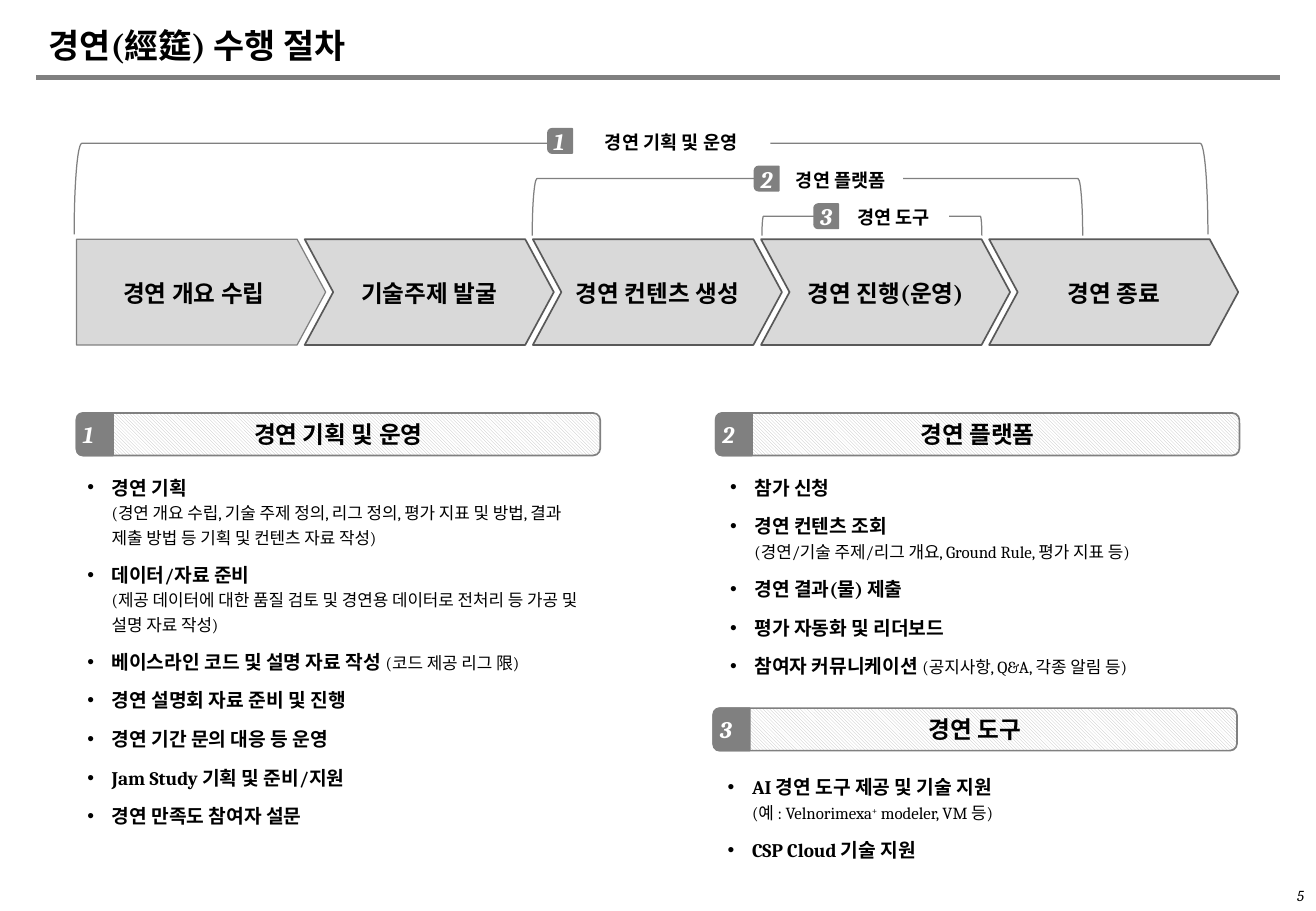
from lxml.etree import SubElement
from pptx import Presentation
from pptx.dml.color import RGBColor
from pptx.enum.dml import MSO_PATTERN
from pptx.enum.shapes import MSO_CONNECTOR, MSO_SHAPE as SHAPE
from pptx.enum.text import MSO_ANCHOR as ANCHOR, PP_ALIGN as ALIGN
from pptx.oxml.ns import qn
from pptx.util import Emu, Pt

BLACK = RGBColor(0x00, 0x00, 0x00)
WHITE = RGBColor(0xFF, 0xFF, 0xFF)
GRAY = RGBColor(0x80, 0x80, 0x80)
DARK = RGBColor(0x59, 0x59, 0x59)
HATCH = RGBColor(0xBF, 0xBF, 0xBF)
PALE = RGBColor(0xD9, 0xD9, 0xD9)
FONT = "Cambria"
HEAD_SIZE, DETAIL_SIZE = 11.4, 10

STEPS = ["경연 개요 수립", "기술주제 발굴", "경연 컨텐츠 생성", "경연 진행(운영)", "경연 종료"]

SCOPES = [
    ("1", "경연 기획 및 운영", (61, 118, 933, 75), (471, 103, 163, 29)),
    ("2", "경연 플랫폼", (438, 147, 453, 47), (641, 134, 102, 29)),
    ("3", "경연 도구", (627, 178, 181, 16), (690, 165, 91, 29)),
]

SECTIONS = [
    ("1", "경연 기획 및 운영", (63, 340), (62, 383, 431, 308), [
        ("경연 기획 \n", "(경연 개요 수립, 기술 주제 정의, 리그 정의, 평가 지표 및 방법, "
         "결과 제출 방법 등 기획 및 컨텐츠 자료 작성)"),
        ("데이터/자료 준비 \n", "(제공 데이터에 대한 품질 검토 및 경연용 데이터로 전처리 등 가공 및 설명 자료 작성)"),
        ("베이스라인 코드 및 설명 자료 작성 ", "(코드 제공 리그 限)"),
        ("경연 설명회 자료 준비 및 진행",),
        ("경연 기간 문의 대응 등 운영",),
        ("Jam Study 기획 및 준비/지원",),
        ("경연 만족도 참여자 설문",),
    ]),
    ("2", "경연 플랫폼", (589, 340), (591, 383, 431, 185), [
        ("참가 신청",),
        ("경연 컨텐츠 조회\n", "(경연/기술 주제/리그 개요, Ground Rule, 평가 지표 등)"),
        ("경연 결과(물) 제출",),
        ("평가 자동화 및 리더보드",),
        ("참여자 커뮤니케이션 ", "(공지사항, Q&A, 각종 알림 등)"),
    ]),
    ("3", "경연 도구", (587, 583), (589, 630, 431, 86), [
        ("AI 경연 도구 제공 및 기술 지원\n", "(예 : Velnorimexa", "+", " modeler, VM 등)"),
        ("CSP Cloud 기술 지원",),
    ]),
]


def px(length):
    """Turn px, a hundred to the inch, into EMU."""
    return Emu(round(length * 9144))


def style(span, size, color=BLACK, bold=True, italic=False):
    """Set the font of one run."""
    font = span.font
    font.name, font.size = FONT, Pt(size)
    font.bold, font.italic = bold, italic
    font.color.rgb = color


def write(box, text, size, align=ALIGN.CENTER, anchor=ANCHOR.MIDDLE, margin=None, **look):
    """Put one styled paragraph into a box and return it."""
    frame = box.text_frame
    frame.word_wrap = True
    frame.vertical_anchor = anchor
    if margin is not None:
        frame.margin_left = frame.margin_right = px(margin)
        frame.margin_top = frame.margin_bottom = px(margin)
    frame.text = text
    para = frame.paragraphs[0]
    para.alignment = align
    style(para.runs[0], size, **look)
    return para


def add_text(page, area, text, size, align, **look):
    """Add a text box with one paragraph."""
    box = page.shapes.add_textbox(*map(px, area))
    write(box, text, size, align, **look)


def add_block(page, kind, area, fill=None, line=None, width=1):
    """Add a preset shape with an optional fill and outline."""
    block = page.shapes.add_shape(kind, *map(px, area))
    block.shadow.inherit = False
    if fill is None:
        block.fill.background()
    else:
        block.fill.solid()
        block.fill.fore_color.rgb = fill
    if line is None:
        block.line.fill.background()
    else:
        block.line.color.rgb = line
        block.line.width = Pt(width)
    return block


def turned(left, top, width, height):
    """Give the unrotated area of a shape that is seen after a quarter turn."""
    shift = (width - height) / 2
    return left + shift, top - shift, height, width


def add_badge(page, area, number):
    """Add a number badge rounded on its left side."""
    badge = add_block(page, SHAPE.ROUND_2_SAME_RECTANGLE, turned(*area), GRAY, GRAY)
    badge.rotation = 270
    write(badge, number, 14, margin=4, color=WHITE, italic=True)
    badge.text_frame._txBody.bodyPr.set("vert", "eaVert")


def add_scope(page, number, name, span_area, label_area):
    """Add a bracket over the steps with its badge and label."""
    bracket = add_block(page, SHAPE.LEFT_BRACKET, turned(*span_area), None, GRAY, 0.75)
    bracket.rotation = 90
    label = add_block(page, SHAPE.RECTANGLE, label_area, WHITE)
    write(label, name, 11, anchor=ANCHOR.TOP)
    left, top = label_area[:2]
    add_badge(page, (left - 20, top + 3, 20, 20), number)


def add_step(page, index, name):
    """Add one arrow of the process."""
    kind, line, width = (SHAPE.CHEVRON, DARK, 1) if index else (SHAPE.PENTAGON, GRAY, 0.75)
    step = add_block(page, kind, (63 + 187.75 * index, 197, 205, 87), PALE, line, width)
    step.adjustments[0] = 0.27
    write(step, name, 14, margin=4).line_spacing = 1.1
    step.text_frame.word_wrap = False


def add_heading(page, number, name, corner):
    """Add a hatched section bar with its badge."""
    left, top = corner
    bar = add_block(page, SHAPE.ROUNDED_RECTANGLE, (left, top, 431, 35), WHITE, GRAY)
    bar.fill.patterned()
    bar.fill.pattern = MSO_PATTERN.LIGHT_DOWNWARD_DIAGONAL
    bar.fill.fore_color.rgb = HATCH
    bar.fill.back_color.rgb = WHITE
    write(bar, name, 14, margin=4)
    add_badge(page, (left, top, 30, 35), number)


def fill_bullet(para, head, *details):
    """Write a bold head and its details, every second detail raised."""
    props = para._p.get_or_add_pPr()
    props.set("marL", str(px(20)))
    props.set("indent", str(px(-20)))
    SubElement(props, qn("a:buFont"), typeface="Arial")
    SubElement(props, qn("a:buChar"), char="•")
    para.line_spacing = 1.2
    para.text = head
    style(para.runs[0], HEAD_SIZE)
    for line_break in para._p.findall(qn("a:br")):
        SubElement(line_break, qn("a:rPr"), sz=str(round(HEAD_SIZE * 100)))
    for index, detail in enumerate(details):
        span = para.add_run()
        span.text = detail
        style(span, DETAIL_SIZE, bold=False)
        if index % 2:
            span.font._element.set("baseline", "30000")


def add_bullets(page, area, items):
    """Add a bulleted list."""
    frame = page.shapes.add_textbox(*map(px, area)).text_frame
    frame.word_wrap = True
    for index, item in enumerate(items):
        para = frame.add_paragraph() if index else frame.paragraphs[0]
        fill_bullet(para, *item)
        para.space_before = Pt(6.5 if index else 0)


def add_rule(page, left, right, top):
    """Add the thick line under the title."""
    rule = page.shapes.add_connector(MSO_CONNECTOR.STRAIGHT, px(left), px(top), px(right), px(top))
    rule.line.color.rgb = GRAY
    rule.line.width = Pt(3)
    SubElement(rule._element.spPr, qn("a:effectLst"))


def main():
    """Build the slide and save it."""
    deck = Presentation()
    deck.slide_width, deck.slide_height = px(1083), px(750)
    page = deck.slides.add_slide(deck.slide_layouts[6])
    add_rule(page, 30, 1053, 64)
    add_text(page, (1041, 725, 42, 25), "5", 9, ALIGN.RIGHT, bold=False, italic=True)
    add_text(page, (30, 15, 1024, 44), "경연(經筵) 수행 절차", 20, ALIGN.LEFT)
    for number, name, corner, list_area, items in SECTIONS:
        add_heading(page, number, name, corner)
        add_bullets(page, list_area, items)
    for index, name in enumerate(STEPS):
        add_step(page, index, name)
    for scope in SCOPES:
        add_scope(page, *scope)
    deck.save("out.pptx")


if __name__ == "__main__":
    main()
